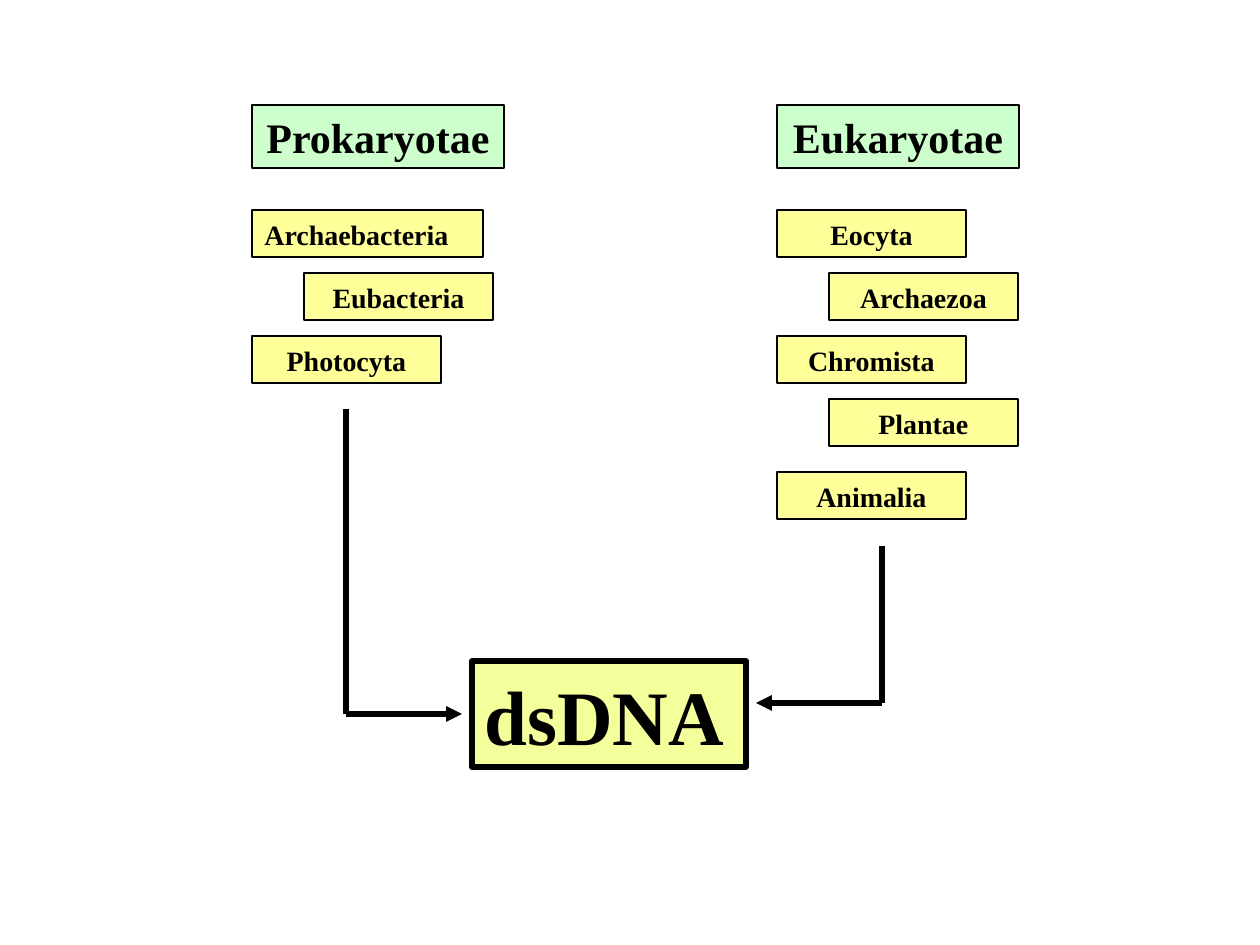
from lxml import etree
from pptx import Presentation
from pptx import util as u
from pptx.dml.color import RGBColor
from pptx.enum import shapes, text
from pptx.oxml.ns import qn

SCALE = 914400 / 126  # EMU per px
FONT = "Times New Roman"
COLORS = {"domain": "CCFFCC", "kingdom": "FFFF99", "dna": "F4FE9A", "ink": "000000"}
LEFT, CENTER = text.PP_ALIGN.LEFT, text.PP_ALIGN.CENTER


def px(n):
    return u.Emu(round(n * SCALE))


def box(label, x, y, w, h, fill, size, align=CENTER, line=0.75):
    sp = s.shapes.add_shape(shapes.MSO_SHAPE.RECTANGLE, px(x), px(y), px(w), px(h))
    sp.shadow.inherit = False
    sp.fill.solid()
    sp.fill.fore_color.rgb = RGBColor.from_string(COLORS[fill])
    sp.line.color.rgb = RGBColor.from_string(COLORS["ink"])
    sp.line.width = u.Pt(line)
    tf = sp.text_frame
    tf.word_wrap = True
    tf.vertical_anchor = text.MSO_ANCHOR.BOTTOM
    p = tf.paragraphs[0]
    p.alignment = align
    r = p.add_run()
    r.text = label
    r.font.name = FONT
    r.font.size = u.Pt(size)
    r.font.bold = True
    r.font.color.rgb = RGBColor.from_string(COLORS["ink"])


prs = Presentation()
prs.slide_width, prs.slide_height = px(1260), px(945)
s = prs.slides.add_slide(prs.slide_layouts[6])

# Domain headings
box("Prokaryotae", 252, 105, 252, 63, "domain", 24)
box("Eukaryotae", 777, 105, 242, 63, "domain", 24)

# Kingdoms, alternately indented below their domain
box("Archaebacteria", 252, 210, 231, 47, "kingdom", 16, LEFT)
columns = [
    (252, [("Eubacteria", 273), ("Photocyta", 336)]),
    (777, [("Eocyta", 210), ("Archaezoa", 273), ("Chromista", 336),
           ("Plantae", 399), ("Animalia", 472)]),
]
for x, kingdoms in columns:
    for label, y in kingdoms:
        indent = 52 if y in (273, 399) else 0
        box(label, x + indent, y, 189, 47, "kingdom", 16)

# Shared genome type
box("dsDNA", 472, 661, 274, 106, "dna", 44, LEFT, 3)

# Elbow arrows: down from each column, then across to the genome box
for x, top, corner, end in [(346, 409, 714, 462), (882, 546, 703, 756)]:
    for x1, y1, x2, y2 in [(x, top, x, corner), (x, corner, end, corner)]:
        cn = s.shapes.add_connector(shapes.MSO_CONNECTOR.STRAIGHT,
                                    px(x1), px(y1), px(x2), px(y2))
        cn.line.color.rgb = RGBColor.from_string(COLORS["ink"])
        cn.line.width = u.Pt(3)
        if y1 == y2:
            etree.SubElement(cn.line._get_or_add_ln(), qn("a:tailEnd"), type="triangle")
        etree.SubElement(cn._element.spPr, qn("a:effectLst"))

prs.save("out.pptx")
